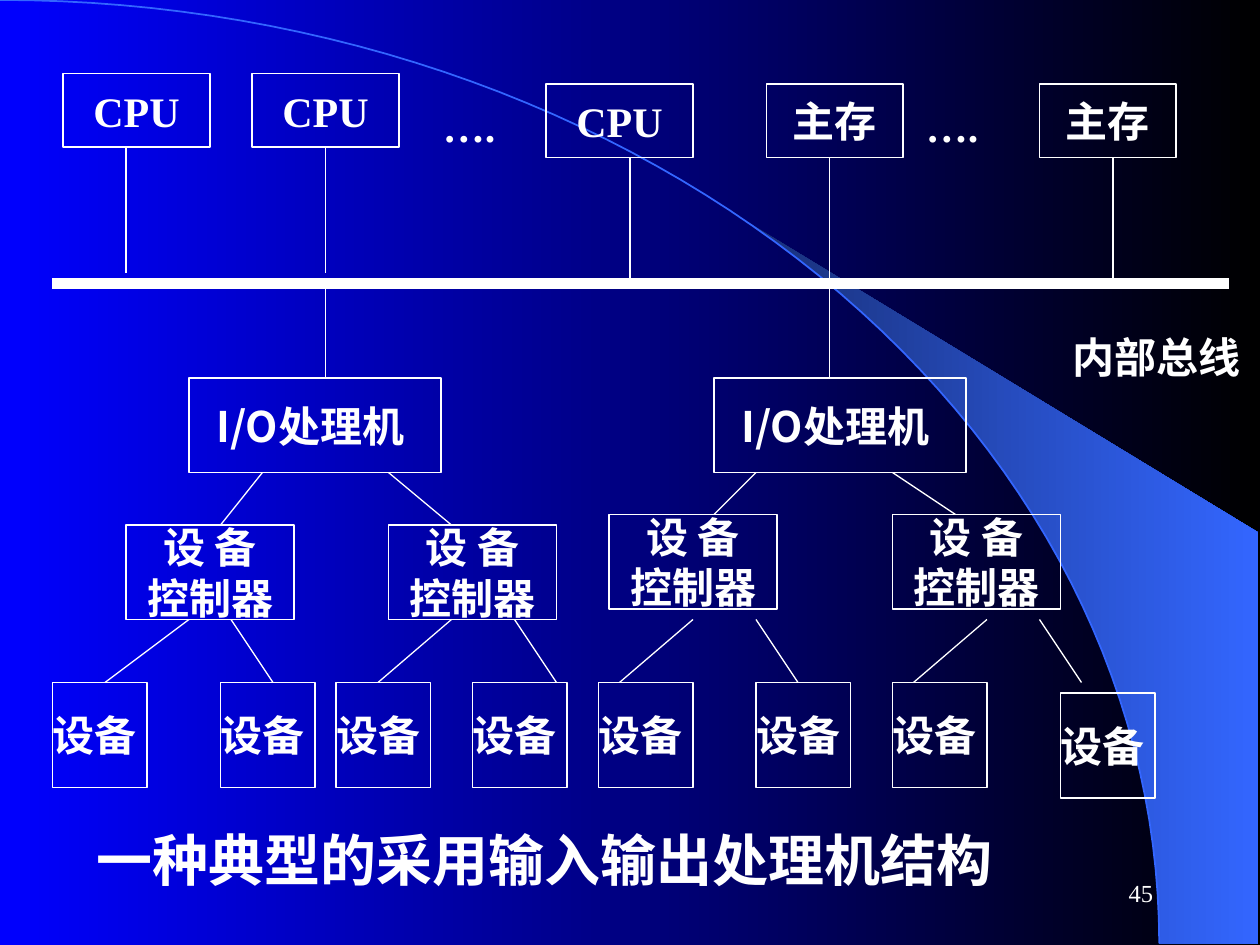
from dataclasses import dataclass
from math import cos, radians, sin

from lxml.etree import SubElement
from pptx import Presentation
from pptx.dml.color import RGBColor
from pptx.enum.shapes import MSO_CONNECTOR, MSO_SHAPE
from pptx.enum.text import MSO_ANCHOR, MSO_AUTO_SIZE, PP_ALIGN
from pptx.oxml.ns import qn
from pptx.util import Cm, Length, Pt


@dataclass(frozen=True)
class Theme:
    white: RGBColor = RGBColor(0xFF, 0xFF, 0xFF)
    blue: RGBColor = RGBColor(0x00, 0x00, 0xFF)
    black: RGBColor = RGBColor(0x00, 0x00, 0x00)
    arc: RGBColor = RGBColor(0x33, 0x66, 0xFF)
    wedge: RGBColor = RGBColor(0x18, 0x2F, 0x76)
    latin: str = "Times New Roman"
    chinese: str = "Noto Sans CJK SC"
    label: float = 24
    title: float = 32
    number: float = 14
    thin: float = 0.75
    bus: float = 6


@dataclass(frozen=True)
class BoxStyle:
    """Text and size of one kind of unit, in grid steps."""
    text: str
    width: float
    height: float
    font: str


@dataclass(frozen=True)
class Unit:
    """A box on the grid; tap is where its line to the bus leaves."""
    style: BoxStyle
    left: float
    top: float
    tap: float = 0
    tap_end: float = 0


@dataclass(frozen=True)
class Caption:
    text: str
    left: float
    top: float
    width: float
    height: float
    size: float
    font: str
    bold: bool = True
    align: PP_ALIGN = PP_ALIGN.LEFT
    anchor: MSO_ANCHOR = MSO_ANCHOR.TOP


THEME = Theme()
BUS_Y = 27

CPU = BoxStyle("CPU", 14, 7, THEME.latin)
MEMORY = BoxStyle("主存", 13, 7, THEME.chinese)
PROCESSOR = BoxStyle("I/O处理机 ", 24, 9, THEME.chinese)
CONTROLLER = BoxStyle("设 备\n控制器", 16, 9, THEME.chinese)
DEVICE = BoxStyle("设备 ", 9, 10, THEME.chinese)

UNITS = [
    Unit(CPU, 6, 7, 12, 26), Unit(CPU, 24, 7, 31, 26), Unit(CPU, 52, 8, 60, BUS_Y),
    Unit(MEMORY, 73, 8, 79, BUS_Y), Unit(MEMORY, 99, 8, 106, BUS_Y),
    Unit(PROCESSOR, 18, 36, 31, BUS_Y), Unit(PROCESSOR, 68, 36, 79, 26),
    *(Unit(CONTROLLER, left, top) for left, top in ((12, 50), (37, 50), (58, 49), (85, 49))),
    *(Unit(DEVICE, left, 65) for left in (5, 21, 32, 45, 57, 72, 85)),
    Unit(DEVICE, 101, 66),
]

# Branches as (from x, from y, to x, to y)
BRANCHES = [
    (25, 45, 21, 50), (37, 45, 43, 50), (72, 45, 68, 49), (85, 45, 91, 49),
    *((start, 59, end, 65) for start, end in (
        (18, 10), (22, 26), (43, 36), (49, 53), (66, 59), (72, 76), (94, 87), (99, 103))),
]

CAPTIONS = [
    *(Caption("….", left, 9, 10, 6, THEME.label, THEME.latin) for left in (41, 87)),
    Caption("内部总线", 101, 31, 19, 6, THEME.label, THEME.chinese),
    Caption("一种典型的采用输入输出处理机结构", 8, 78, 98, 7.7, THEME.title, THEME.chinese),
    Caption("45", 86, 82, 25, 6, THEME.number, THEME.latin, False,
            PP_ALIGN.RIGHT, MSO_ANCHOR.MIDDLE),
]


def grid(steps: float) -> Length:
    """Twelve grid steps make 2.54 cm."""
    return Cm(steps * 2.54 / 12)


def paint_gradient(fill, first: RGBColor, last: RGBColor) -> None:
    fill.gradient()
    fill.gradient_angle = 0
    for stop, color in zip(fill.gradient_stops, (first, last)):
        stop.color.rgb = color


def arc_points(start: float, steps: int = 60) -> list[tuple[int, int]]:
    """Points on the quarter ellipse, from an angle in degrees to 90."""
    width, height = Cm(23.37), Cm(19.02)
    angles = [radians(start + (90 - start) * step / steps) for step in range(steps + 1)]
    return [(round(width * sin(angle)), round(height * (1 - cos(angle)))) for angle in angles]


def add_outline(page, points: list[tuple[int, int]], close: bool):
    builder = page.shapes.build_freeform(*points[0], scale=1.0)
    builder.add_line_segments(points[1:], close=close)
    shape = builder.convert_to_shape()
    shape.shadow.inherit = False
    return shape


def draw_backdrop(page) -> None:
    paint_gradient(page.background.fill, THEME.blue, THEME.black)
    corners = [(Cm(25.37), Cm(19.02)), (Cm(25.37), Cm(10.74))]
    wedge = add_outline(page, arc_points(39.8) + corners, close=True)
    paint_gradient(wedge.fill, THEME.wedge, THEME.arc)
    wedge.line.fill.background()
    arc = add_outline(page, arc_points(0), close=False)
    arc.fill.background()
    arc.line.color.rgb = THEME.arc
    arc.line.width = Pt(1)


def write_text(frame, text: str, font: str, size: float, bold: bool, align: PP_ALIGN) -> None:
    frame.text = text
    for para in frame.paragraphs:
        para.alignment = align
        para.font.size = Pt(size)
        para.font.bold = bold
        para.font.color.rgb = THEME.white
        para.font.name = font
        properties = para._p.pPr.find(qn("a:defRPr"))
        SubElement(properties, qn("a:ea")).set("typeface", THEME.chinese)


def draw_line(page, x1: float, y1: float, x2: float, y2: float, width: float = THEME.thin):
    line = page.shapes.add_connector(
        MSO_CONNECTOR.STRAIGHT, grid(x1), grid(y1), grid(x2), grid(y2))
    line.line.color.rgb = THEME.white
    line.line.width = Pt(width)
    SubElement(line._element.spPr, qn("a:effectLst"))
    return line


def draw_unit(page, unit: Unit) -> None:
    style = unit.style
    box = page.shapes.add_shape(
        MSO_SHAPE.RECTANGLE, grid(unit.left), grid(unit.top), grid(style.width), grid(style.height))
    box.shadow.inherit = False
    box.fill.background()
    box.line.color.rgb = THEME.white
    box.line.width = Pt(THEME.thin)
    box.text_frame.word_wrap = False
    box.text_frame.vertical_anchor = MSO_ANCHOR.MIDDLE
    write_text(box.text_frame, style.text, style.font, THEME.label, True, PP_ALIGN.CENTER)
    if unit.tap:
        above_bus = unit.top < BUS_Y
        edge = unit.top + style.height if above_bus else unit.top
        line = draw_line(page, unit.tap, edge, unit.tap, unit.tap_end)
        if unit.tap == unit.left + style.width / 2:
            line.begin_connect(box, 2 if above_bus else 0)


def draw_caption(page, caption: Caption) -> None:
    box = page.shapes.add_textbox(
        grid(caption.left), grid(caption.top), grid(caption.width), grid(caption.height))
    frame = box.text_frame
    frame.word_wrap = True
    frame.vertical_anchor = caption.anchor
    if caption.anchor == MSO_ANCHOR.TOP:
        frame.auto_size = MSO_AUTO_SIZE.SHAPE_TO_FIT_TEXT
    write_text(frame, caption.text, caption.font, caption.size, caption.bold, caption.align)


def main() -> None:
    deck = Presentation()
    deck.slide_width, deck.slide_height = Cm(25.4), Cm(19.05)
    page = deck.slides.add_slide(deck.slide_layouts[6])

    draw_backdrop(page)
    # Internal bus, units with their taps, branches and captions
    draw_line(page, 5, BUS_Y, 117, BUS_Y, THEME.bus)
    for unit in UNITS:
        draw_unit(page, unit)
    for branch in BRANCHES:
        draw_line(page, *branch)
    for caption in CAPTIONS:
        draw_caption(page, caption)

    deck.save("out.pptx")


if __name__ == "__main__":
    main()
